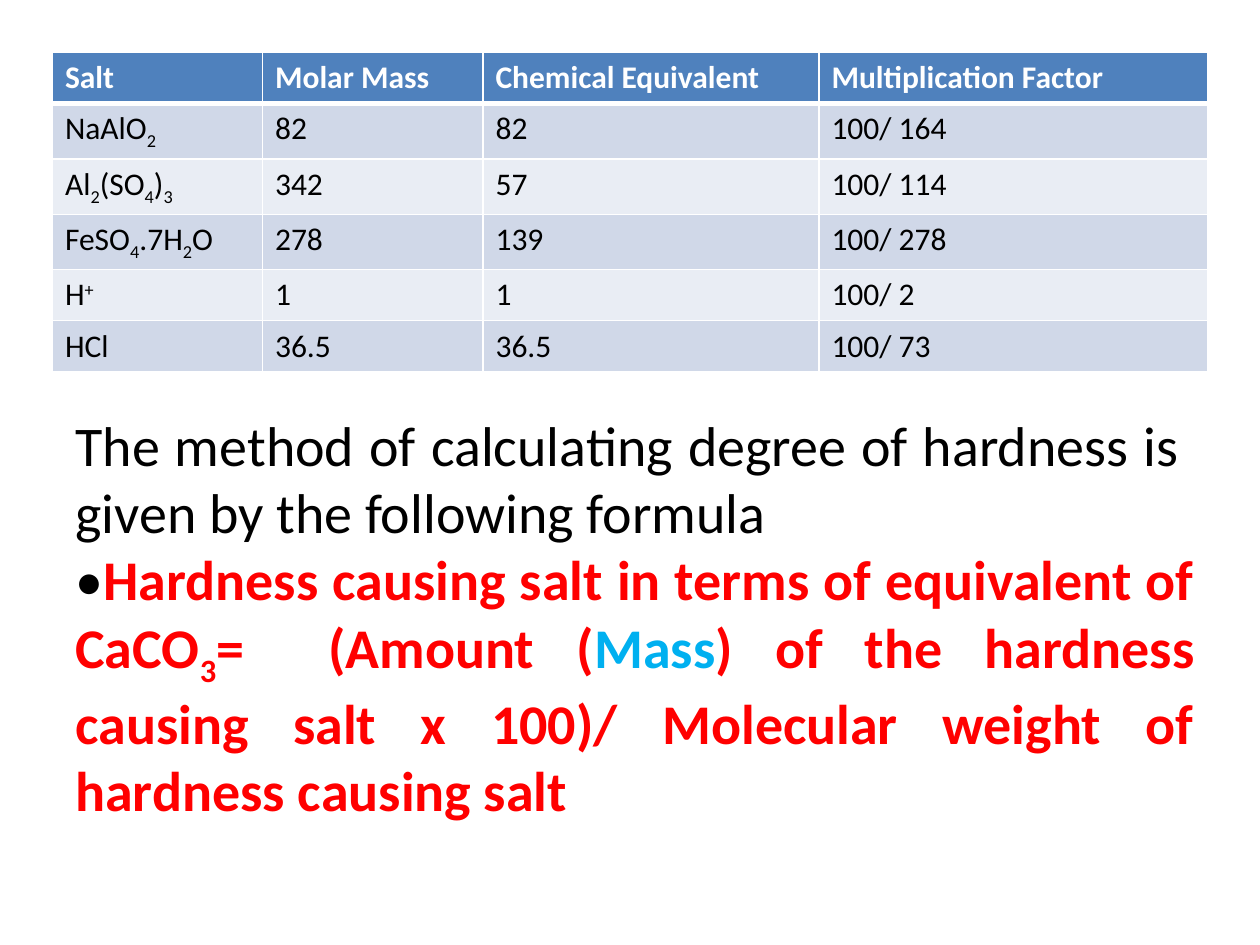
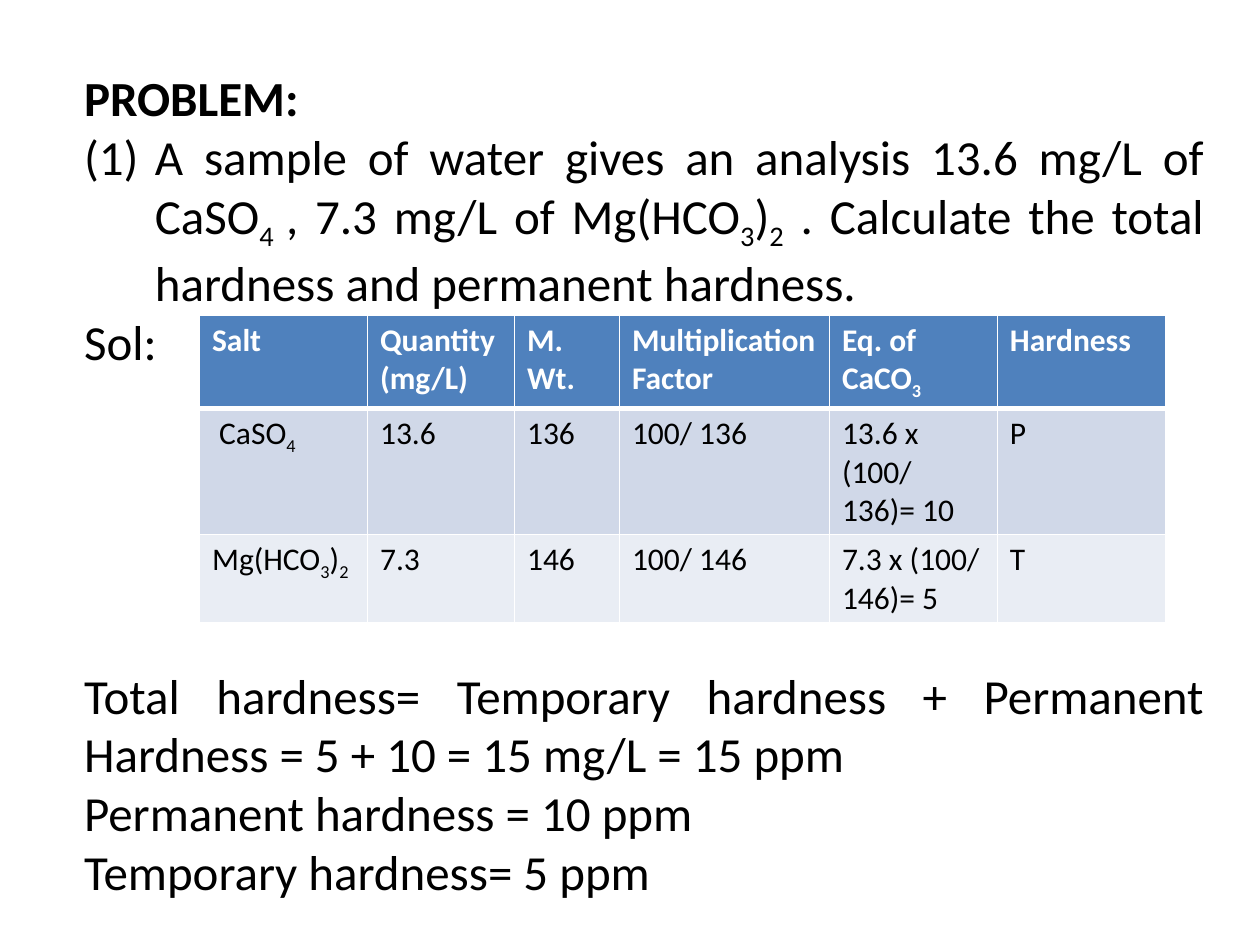
from lxml import etree
from pptx import Presentation
from pptx.dml.color import RGBColor
from pptx.enum.text import MSO_AUTO_SIZE, PP_ALIGN
from pptx.oxml.ns import qn
from pptx.util import Pt

JUSTIFY = PP_ALIGN.JUSTIFY
GROW = MSO_AUTO_SIZE.SHAPE_TO_FIT_TEXT
FONT = "Calibri"
TABLE_SIZE = 18
ROW_HEIGHT = 29.2
BODY_WIDTH = 654
NUMBER_INDENT = 40.5
COLORS = {
    "text": "000000",
    "white": "FFFFFF",
    "header": "4F81BD",
    "odd_row": "D0D8E8",
    "even_row": "E9EDF4",
    "formula": "FF0000",
    "mass": "00B0F0",
}

FACTOR_ROWS = [
    ["Salt", "Molar Mass", "Chemical Equivalent", "Multiplication Factor"],
    ["NaAlO~2~", "82", "82", "100/ 164"],
    ["Al~2~(SO~4~)~3~", "342", "57", "100/ 114"],
    ["FeSO~4~.7H~2~O", "278", "139", "100/ 278"],
    ["H~+~", "1", "1", "100/ 2"],
    ["HCl", "36.5", "36.5", "100/ 73"],
]
SOLUTION_ROWS = [
    ["Salt", "Quantity (mg/L)", "M. Wt.", "Multiplication Factor", "Eq. of CaCO~3~", "Hardness"],
    [" CaSO~4~", "13.6", "136", "100/ 136", "13.6 x (100/ 136)= 10", "P"],
    ["Mg(HCO~3~)~2~", "7.3", "146", "100/ 146", "7.3 x (100/ 146)= 5", "T"],
]


def add_spans(para, text, size, color="text", bold=False):
    """Append text; pieces between tildes are subscripts, or superscripts for a charge."""
    for index, piece in enumerate(text.split("~")):
        if not piece:
            continue
        span = para.add_run()
        span.text = piece
        span.font.name = FONT
        span.font.size = Pt(size)
        span.font.bold = bold
        span.font.color.rgb = RGBColor.from_string(COLORS[color])
        if index % 2:
            baseline = "30000" if piece == "+" else "-25000"
            span.font._element.set("baseline", baseline)


def add_border(cell, side, width):
    line = etree.SubElement(cell._tc.get_or_add_tcPr(), qn(f"a:ln{side}"), w=str(Pt(width)))
    fill = etree.SubElement(line, qn("a:solidFill"))
    etree.SubElement(fill, qn("a:srgbClr"), val=COLORS["white"])


def style_cell(cell, row_index):
    """Give a cell white borders, thick below the header, and its row's fill."""
    add_border(cell, "L", 1)
    add_border(cell, "R", 1)
    add_border(cell, "T", 3 if row_index == 1 else 1)
    add_border(cell, "B", 3 if row_index == 0 else 1)
    if row_index == 0:
        fill = "header"
    else:
        fill = "odd_row" if row_index % 2 else "even_row"
    cell.fill.solid()
    cell.fill.fore_color.rgb = RGBColor.from_string(COLORS[fill])


def add_salt_table(page, left, top, widths, rows):
    frame = page.shapes.add_table(
        len(rows), len(widths), Pt(left), Pt(top), Pt(sum(widths)), Pt(ROW_HEIGHT * len(rows))
    )
    table = frame.table
    table.horz_banding = False
    for column, width in zip(table.columns, widths):
        column.width = Pt(width)
    for row_index, texts in enumerate(rows):
        table.rows[row_index].height = Pt(ROW_HEIGHT)
        is_header = row_index == 0
        for column_index, text in enumerate(texts):
            cell = table.cell(row_index, column_index)
            style_cell(cell, row_index)
            color = "white" if is_header else "text"
            add_spans(cell.text_frame.paragraphs[0], text, TABLE_SIZE, color, is_header)


def add_body(page, left, top, height, size, paragraphs):
    """Add justified paragraphs, each a list of (text, color, bold) spans."""
    box = page.shapes.add_textbox(Pt(left), Pt(top), Pt(BODY_WIDTH), Pt(height))
    frame = box.text_frame
    frame.word_wrap = True
    frame.auto_size = GROW
    for index, spans in enumerate(paragraphs):
        para = frame.add_paragraph() if index else frame.paragraphs[0]
        para.alignment = JUSTIFY
        for text, color, bold in spans:
            add_spans(para, text, size, color, bold)
    return frame.paragraphs


def number_paragraph(para):
    properties = para._p.get_or_add_pPr()
    properties.set("marL", str(Pt(NUMBER_INDENT)))
    properties.set("indent", str(-Pt(NUMBER_INDENT)))
    etree.SubElement(properties, qn("a:buFont"), typeface="+mj-lt")
    etree.SubElement(properties, qn("a:buAutoNum"), type="arabicParenBoth")


def build_formula_page(page):
    add_salt_table(page, 30, 30, [120, 126, 192, 222], FACTOR_ROWS)
    add_body(page, 36, 231, 240, 32, [
        [("The method of calculating degree of hardness is  given by the following formula",
          "text", False)],
        [("•", "text", False),
         ("Hardness causing salt in terms of equivalent of CaCO~3~=  (Amount (", "formula", True),
         ("Mass", "mass", True),
         (") of the hardness causing salt x 100)/ Molecular weight of hardness causing salt",
          "formula", True)],
    ])


def build_problem_page(page):
    lines = [
        "A sample of water gives an analysis 13.6 mg/L of CaSO~4 ~, 7.3 mg/L of Mg(HCO~3~)~2~"
        " . Calculate the total hardness and permanent hardness.",
        "Sol:",
        "Total hardness= Temporary hardness + Permanent Hardness = 5 + 10 = 15 mg/L = 15 ppm",
        "Permanent hardness = 10 ppm",
        "Temporary hardness= 5 ppm",
    ]
    paragraphs = [[("PROBLEM:", "text", True)]] + [[(line, "text", False)] for line in lines]
    heading, question, solution, total, *answers = add_body(page, 41, 35.3, 482.4, 28, paragraphs)
    number_paragraph(question)
    total.space_before = Pt(168.5)
    add_salt_table(page, 114, 180, [96, 84, 60, 120, 96, 96], SOLUTION_ROWS)


def main():
    deck = Presentation()
    deck.slide_width, deck.slide_height = Pt(720), Pt(540)
    blank = deck.slide_layouts[6]
    for build_page in (build_formula_page, build_problem_page):
        build_page(deck.slides.add_slide(blank))
    deck.save("out.pptx")


if __name__ == "__main__":
    main()
